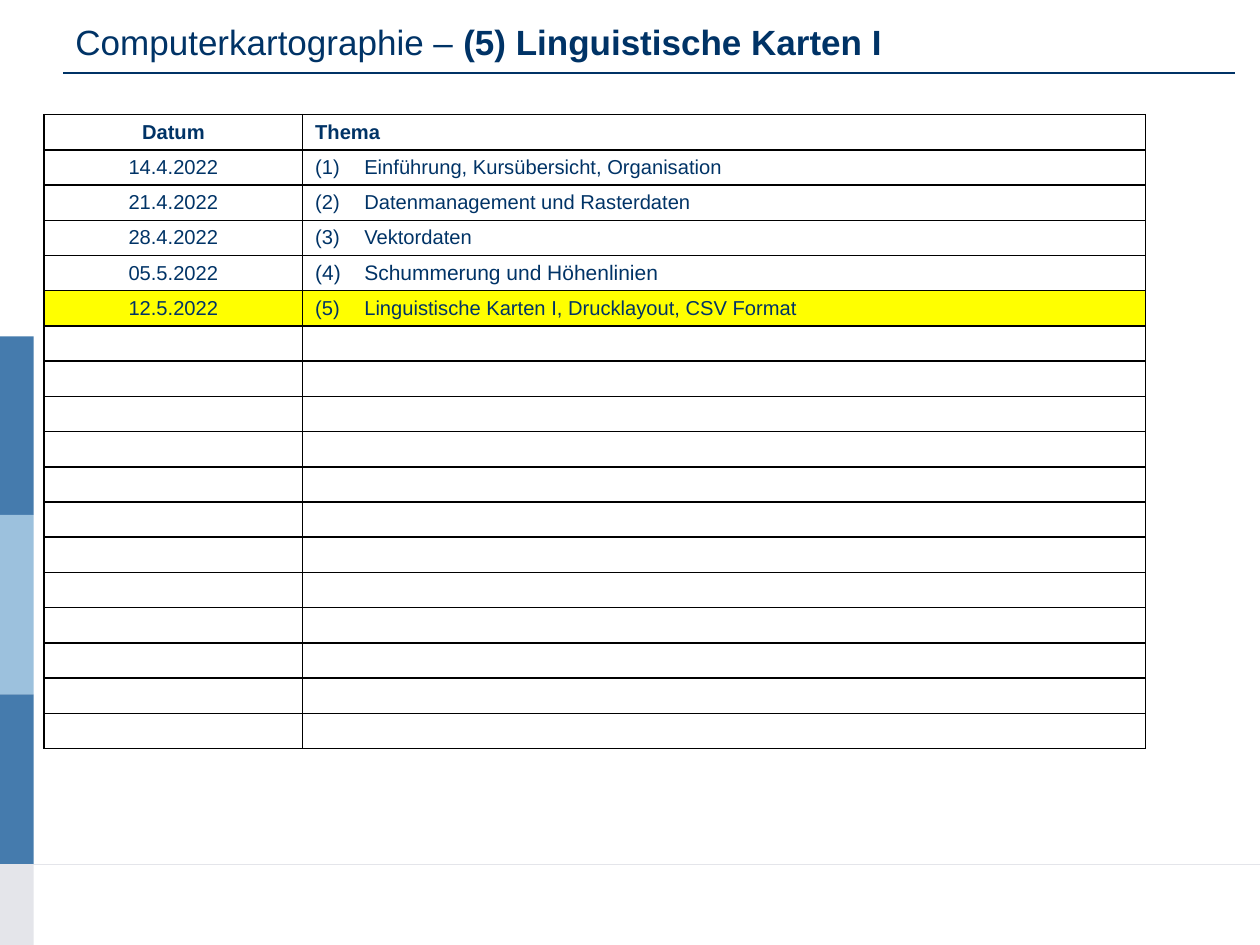
from typing import NamedTuple

from lxml.etree import SubElement
from pptx import Presentation
from pptx.dml.color import RGBColor
from pptx.enum.shapes import MSO_CONNECTOR, MSO_SHAPE
from pptx.enum.text import MSO_ANCHOR, PP_ALIGN
from pptx.oxml.ns import qn
from pptx.util import Cm, Pt

NAVY = RGBColor(0x00, 0x33, 0x66)
BLUE = RGBColor(0x45, 0x7B, 0xAD)
LIGHT_BLUE = RGBColor(0x9C, 0xC1, 0xDD)
PALE_GREY = RGBColor(0xE4, 0xE5, 0xEA)
YELLOW = RGBColor(0xFF, 0xFF, 0x00)
BLACK = RGBColor(0x00, 0x00, 0x00)

SLIDE_WIDTH = 25.4
SLIDE_HEIGHT = 19.05
FOOTER_TOP = 17.42
SIDEBAR_WIDTH = 0.68
ROW_HEIGHT = 0.71
ROW_COUNT = 18
COLUMN_WIDTHS = (5.21, 16.99)
TOPIC_INDENT = 0.99


class Band(NamedTuple):
    top: float
    bottom: float
    color: RGBColor


class Session(NamedTuple):
    date: str
    topic: str
    size: float = 11.5
    current: bool = False


class Rule(NamedTuple):
    left: float
    right: float
    y: float
    color: RGBColor
    weight: float


BANDS = (
    Band(6.78, 10.38, BLUE),
    Band(10.38, 14.0, LIGHT_BLUE),
    Band(14.0, FOOTER_TOP, BLUE),
    Band(FOOTER_TOP, SLIDE_HEIGHT, PALE_GREY),
)
FOOTER_RULE = Rule(0, SLIDE_WIDTH, FOOTER_TOP, PALE_GREY, 0.5)
TITLE_RULE = Rule(1.27, 24.89, 1.47, NAVY, 0.75)
SESSIONS = (
    Session("14.4.2022", "Einführung, Kursübersicht, Organisation"),
    Session("21.4.2022", "Datenmanagement und Rasterdaten"),
    Session("28.4.2022", "Vektordaten"),
    Session("05.5.2022", "Schummerung und Höhenlinien", size=12),
    Session("12.5.2022", "Linguistische Karten I, Drucklayout, CSV Format", current=True),
)


def write(paragraph, text: str, *, size: float = 11.5, bold: bool = False,
          align=PP_ALIGN.LEFT, hanging: float = 0) -> None:
    paragraph.alignment = align
    if hanging:
        properties = paragraph._p.get_or_add_pPr()
        properties.set("marL", str(Cm(hanging)))
        properties.set("indent", str(-Cm(hanging)))
    run = paragraph.add_run()
    run.text = text
    run.font.name = "Arial"
    run.font.size = Pt(size)
    run.font.bold = bold
    run.font.color.rgb = NAVY


def draw_band(slide, band: Band) -> None:
    bar = slide.shapes.add_shape(MSO_SHAPE.RECTANGLE, Cm(0), Cm(band.top),
                                 Cm(SIDEBAR_WIDTH), Cm(band.bottom - band.top))
    bar.shadow.inherit = False
    bar.fill.solid()
    bar.fill.fore_color.rgb = band.color
    bar.line.fill.background()


def draw_rule(slide, rule: Rule) -> None:
    line = slide.shapes.add_connector(MSO_CONNECTOR.STRAIGHT, Cm(rule.left), Cm(rule.y),
                                      Cm(rule.right), Cm(rule.y))
    line.line.color.rgb = rule.color
    line.line.width = Pt(rule.weight)
    SubElement(line._element.spPr, qn("a:effectLst"))


def draw_title(slide) -> None:
    title = slide.shapes.add_textbox(Cm(1.27), Cm(0.13), Cm(22.86), Cm(1.4)).text_frame
    title.word_wrap = True
    title.vertical_anchor = MSO_ANCHOR.MIDDLE
    write(title.paragraphs[0], "Computerkartographie – ", size=20)
    write(title.paragraphs[0], "(5) Linguistische Karten I", size=20, bold=True)


def format_cell(cell, highlighted: bool) -> None:
    cell.margin_top = cell.margin_bottom = Cm(0.05)
    cell.vertical_anchor = MSO_ANCHOR.MIDDLE
    properties = cell._tc.get_or_add_tcPr()
    for side in ("lnL", "lnR", "lnT", "lnB"):
        border = SubElement(properties, qn(f"a:{side}"), w=str(Pt(1)))
        fill = SubElement(border, qn("a:solidFill"))
        SubElement(fill, qn("a:srgbClr"), val=str(BLACK))
    if highlighted:
        cell.fill.solid()
        cell.fill.fore_color.rgb = YELLOW
    else:
        cell.fill.background()
    if not cell.text:
        SubElement(cell.text_frame.paragraphs[0]._p, qn("a:endParaRPr"), sz="1150")


def draw_schedule(slide) -> None:
    schedule = slide.shapes.add_table(
        ROW_COUNT, len(COLUMN_WIDTHS), Cm(0.89), Cm(2.31),
        Cm(sum(COLUMN_WIDTHS)), Cm(ROW_COUNT * ROW_HEIGHT)).table
    schedule.first_row = schedule.horz_banding = False
    for column, width in zip(schedule.columns, COLUMN_WIDTHS):
        column.width = Cm(width)
    for row in schedule.rows:
        row.height = Cm(ROW_HEIGHT)

    date_heading, topic_heading = (cell.text_frame.paragraphs[0]
                                   for cell in schedule.rows[0].cells)
    write(date_heading, "Datum", bold=True, align=PP_ALIGN.CENTER)
    write(topic_heading, "Thema", bold=True)
    for number, session in enumerate(SESSIONS, start=1):
        date, topic = (cell.text_frame.paragraphs[0]
                       for cell in schedule.rows[number].cells)
        write(date, session.date, align=PP_ALIGN.CENTER)
        write(topic, f"({number})\t{session.topic}", size=session.size,
              hanging=TOPIC_INDENT)

    current_rows = {number for number, session in enumerate(SESSIONS, start=1)
                    if session.current}
    for number, row in enumerate(schedule.rows):
        for cell in row.cells:
            format_cell(cell, number in current_rows)


def main() -> None:
    presentation = Presentation()
    presentation.slide_width = Cm(SLIDE_WIDTH)
    presentation.slide_height = Cm(SLIDE_HEIGHT)
    slide = presentation.slides.add_slide(presentation.slide_layouts[6])
    draw_rule(slide, FOOTER_RULE)
    for band in BANDS:
        draw_band(slide, band)
    draw_title(slide)
    draw_rule(slide, TITLE_RULE)
    draw_schedule(slide)
    presentation.save("out.pptx")


if __name__ == "__main__":
    main()
